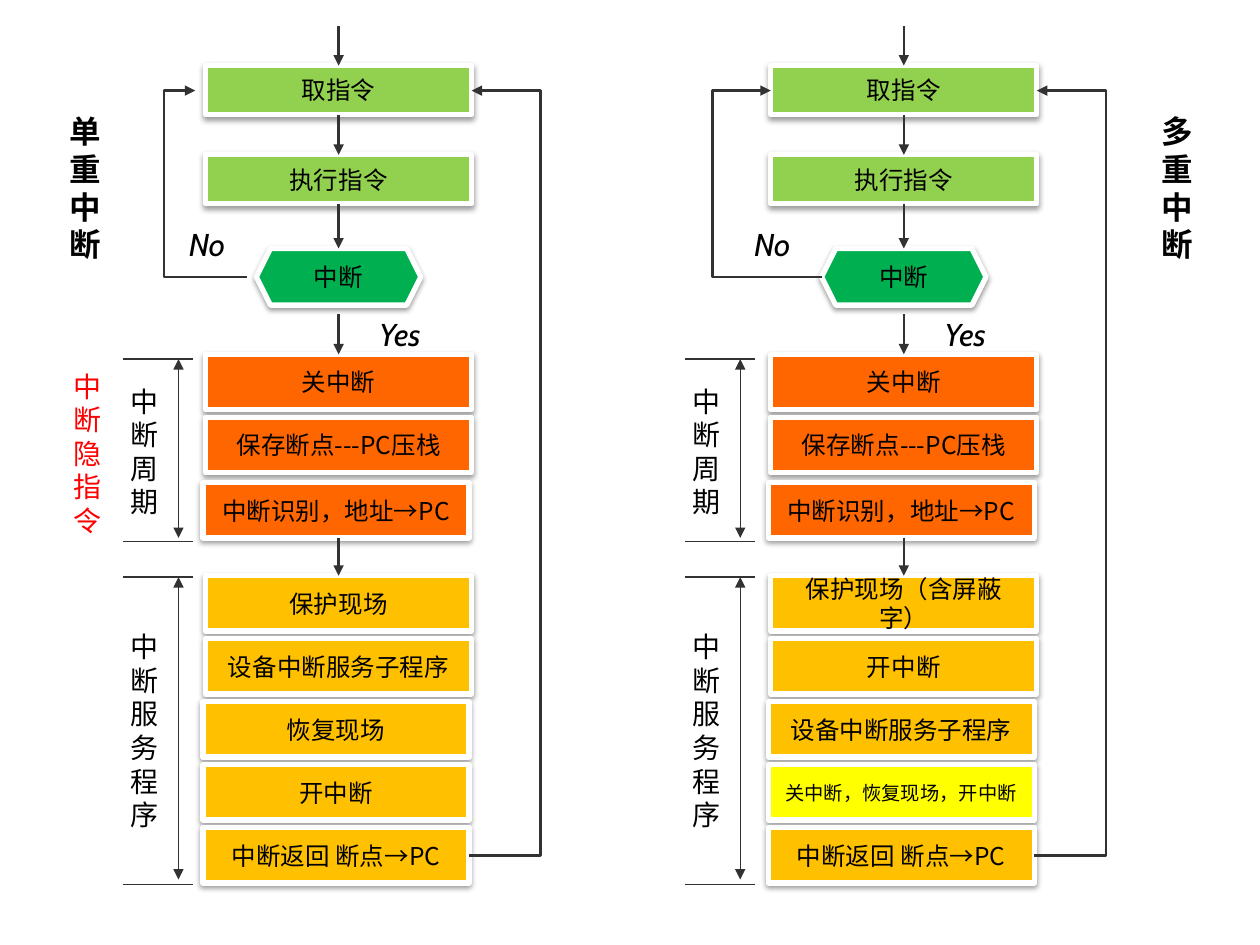
from lxml import etree
from pptx import Presentation
from pptx.dml.color import RGBColor
from pptx.enum import shapes, text
from pptx.oxml import parse_xml
from pptx.oxml.ns import nsdecls, qn
from pptx.util import Pt

BLACK = RGBColor(0x00, 0x00, 0x00)
WHITE = RGBColor(0xFF, 0xFF, 0xFF)
RED = RGBColor(0xFF, 0x00, 0x00)
INK = RGBColor(0x32, 0x32, 0x32)
LIME = RGBColor(0x92, 0xD0, 0x50)
GREEN = RGBColor(0x00, 0xB0, 0x50)
ORANGE = RGBColor(0xFF, 0x66, 0x00)
AMBER = RGBColor(0xFF, 0xC0, 0x00)
YELLOW = RGBColor(0xFF, 0xFF, 0x00)
CJK = "Noto Sans CJK SC"

BOX_X, BOX_W = 117.5, 152
MID_X = BOX_X + BOX_W / 2
NUDGE = 1.5  # lower boxes sit slightly to the left
TOP, BOTTOM = 0, 2  # connection sites of a rectangle


def add_run(p, words, size, color, font=CJK, bold=None, italic=None):
    r = p.add_run()
    r.text = words
    r.font.size, r.font.name = Pt(size), font
    r.font.bold, r.font.italic = bold, italic
    r.font.color.rgb = color
    etree.SubElement(r.font._element, qn("a:ea")).set("typeface", CJK)


def add_box(s, kind, x, y, w, h, words, fill, size=14):
    sp = s.shapes.add_shape(kind, Pt(x), Pt(y), Pt(w), Pt(h))
    sp.fill.solid()
    sp.fill.fore_color.rgb = fill
    sp.line.color.rgb = WHITE
    sp.line.width = Pt(3)
    # Soft shadow straight below
    sp._element.spPr.append(parse_xml(
        f'<a:effectLst {nsdecls("a")}><a:outerShdw blurRad="{Pt(3.1)}" '
        f'dist="{Pt(1.6)}" dir="5400000" rotWithShape="0">'
        '<a:srgbClr val="000000"><a:alpha val="38000"/></a:srgbClr>'
        '</a:outerShdw></a:effectLst>'))
    tf = sp.text_frame
    tf.vertical_anchor = text.MSO_ANCHOR.MIDDLE
    p = tf.paragraphs[0]
    p.alignment = text.PP_ALIGN.CENTER
    add_run(p, words, size, BLACK)
    return sp


def add_label(s, x, y, w, h, lines, size, color=BLACK, align=None, **style):
    tf = s.shapes.add_textbox(Pt(x), Pt(y), Pt(w), Pt(h)).text_frame
    tf.word_wrap = True
    tf.auto_size = text.MSO_AUTO_SIZE.SHAPE_TO_FIT_TEXT
    for i, words in enumerate(lines):
        p = tf.add_paragraph() if i else tf.paragraphs[0]
        p.alignment = align
        add_run(p, words, size, color, **style)


def add_vertical(s, x, y, h, lines, size=16, color=BLACK, **style):
    """One character per line in a narrow box."""
    add_label(s, x, y, 33.8, h, lines, size, color,
              text.PP_ALIGN.RIGHT, **style)


def add_line(s, x1, y1, x2, y2, width=1.5, ends=("tailEnd",), via_x=None):
    kinds = shapes.MSO_CONNECTOR
    kind = kinds.STRAIGHT if via_x is None else kinds.ELBOW
    c = s.shapes.add_connector(kind, Pt(x1), Pt(y1), Pt(x2), Pt(y2))
    c.line.color.rgb = INK
    c.line.width = Pt(width)
    for end in ends:
        etree.SubElement(c.line._get_or_add_ln(), qn(f"a:{end}")).set(
            "type", "triangle")
    spPr = c._element.spPr
    etree.SubElement(spPr, qn("a:effectLst"))
    if via_x is not None:
        bend = round((via_x - x1) / (x2 - x1) * 100000)
        guide = etree.SubElement(spPr.prstGeom.get_or_add_avLst(), qn("a:gd"))
        guide.set("name", "adj1")
        guide.set("fmla", f"val {bend}")
    return c


def add_bracket(s, x, top, bottom, arrow_end, label_y, label_h, lines):
    for y in (top, bottom):
        add_line(s, x, y, x + 40, y, 0.75, ())
    add_line(s, x + 31.5, top, x + 31.5, arrow_end, 0.75,
             ("headEnd", "tailEnd"))
    add_vertical(s, x - 6.5, label_y, label_h, lines)


def add_flow(s, dx, service, loop, bracket_x):
    rect, mid = shapes.MSO_SHAPE.RECTANGLE, MID_X + dx
    left = BOX_X + dx

    # Fetch, execute, test
    fetch = add_box(s, rect, left, 37.5, BOX_W, 28, "取指令", LIME)
    execute = add_box(s, rect, left, 88.5, BOX_W, 28, "执行指令", LIME)
    add_box(s, shapes.MSO_SHAPE.HEXAGON, mid - 47, 142, 94, 32.4,
            "中断", GREEN)

    # Interrupt cycle
    close = add_box(s, rect, left, 202.5, BOX_W, 31.6, "关中断", ORANGE)
    add_box(s, rect, left, 238.5, BOX_W, 31.6, "保存断点---PC压栈", ORANGE)
    add_box(s, rect, left - NUDGE, 275.8, BOX_W, 31.6,
            "中断识别，地址→PC", ORANGE)

    # Service routine
    steps = [add_box(s, rect, left - (NUDGE if i > 1 else 0), 329 + 36 * i,
                     BOX_W, 31.6, *step) for i, step in enumerate(service)]

    # Downward arrows
    add_line(s, mid, 15, mid, 37.5).end_connect(fetch, TOP)
    link = add_line(s, mid, 65.5, mid, 88.5)
    link.begin_connect(fetch, BOTTOM)
    link.end_connect(execute, TOP)
    add_line(s, mid, 116.5, mid, 142).begin_connect(execute, BOTTOM)
    add_line(s, mid, 179.5, mid, 202.5).end_connect(close, TOP)
    add_line(s, mid, 307.4, mid, 329).end_connect(steps[0], TOP)

    # Loops back to fetch
    start, end, via = loop
    add_line(s, start, 158.4, end, 51.8, via_x=via)
    add_line(s, left + BOX_W - NUDGE, 488.8, left + BOX_W, 51.8,
             via_x=left + 191.5)
    add_label(s, dx + 100.8, 125.3, 45.4, 29, ["No"], 18,
              font="Cabin", italic=True)
    add_label(s, dx + 209.5, 176.4, 58.3, 29, ["Yes"], 18,
              font="Cabin", italic=True)

    # Phase brackets
    add_bracket(s, bracket_x, 205.2, 309.6, 307.4, 216, 85,
                ["中断", "周期"])
    add_bracket(s, bracket_x, 329.8, 505.4, 502.6, 356.4, 124,
                ["中断", "服务程序"])


def main():
    prs = Presentation()
    prs.slide_width, prs.slide_height = Pt(720), Pt(540)
    s = prs.slides.add_slide(prs.slide_layouts[6])

    device = ("设备中断服务子程序", AMBER)
    enable = ("开中断", AMBER)
    back = ("中断返回 断点→PC", AMBER)
    single = [("保护现场", AMBER), device, ("恢复现场", AMBER), enable, back]
    multiple = [("保护现场（含屏蔽字）", AMBER), enable, device,
                ("关中断，恢复现场，开中断", YELLOW, 11), back]
    add_flow(s, 0, single, (141.3, 111.6, 93.8), 70.5)
    add_flow(s, 323, multiple, (469.5, 440.5, 407), 391.5)

    # Titles and side note
    for x, title in ((31, "单重中断"), (655, "多重中断")):
        add_vertical(s, x, 60.5, 94.3, [title], 18, font="Arial", bold=True)
    add_vertical(s, 31, 207.4, 104.4, ["中断隐指令"], color=RED)

    prs.save("out.pptx")


if __name__ == "__main__":
    main()
